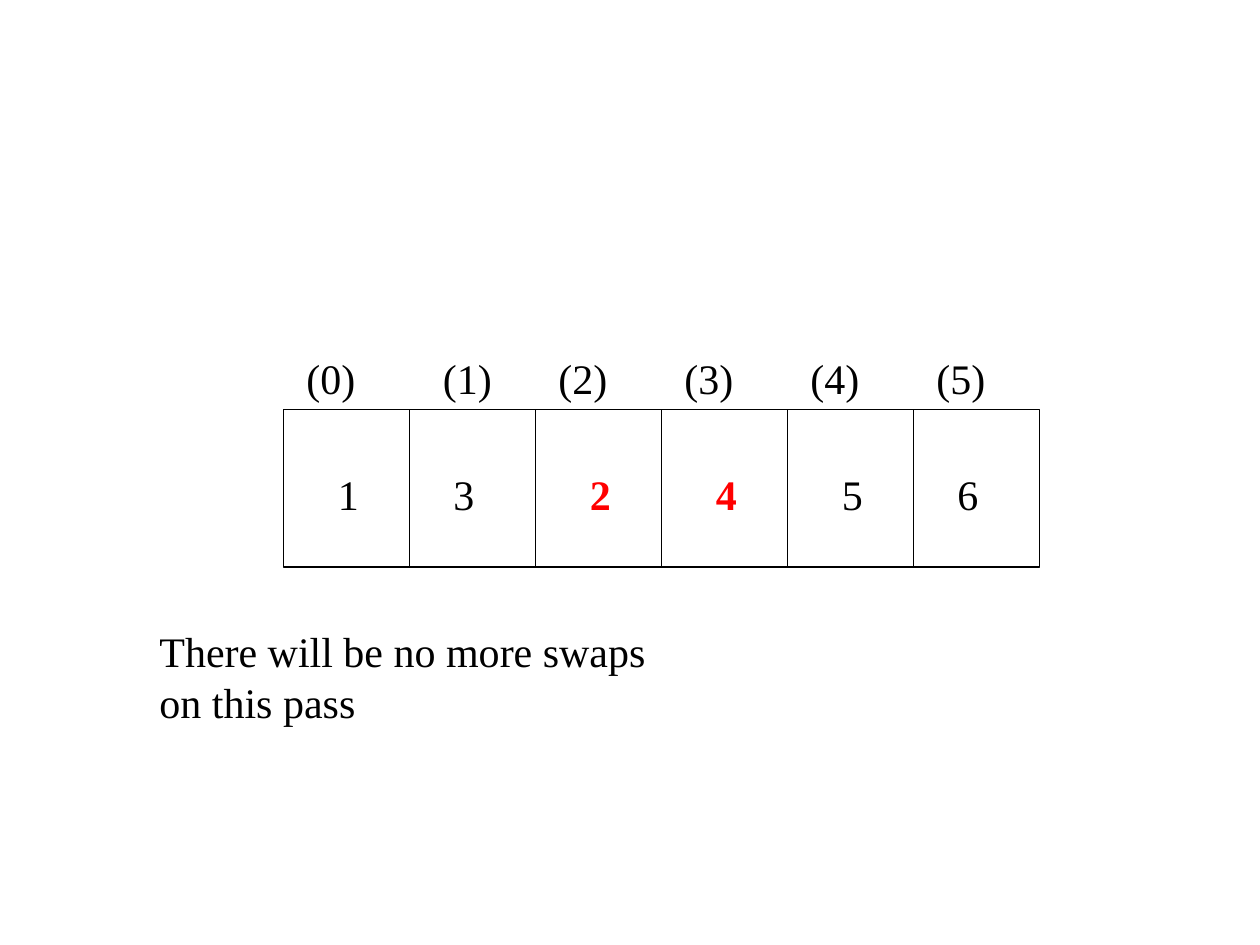
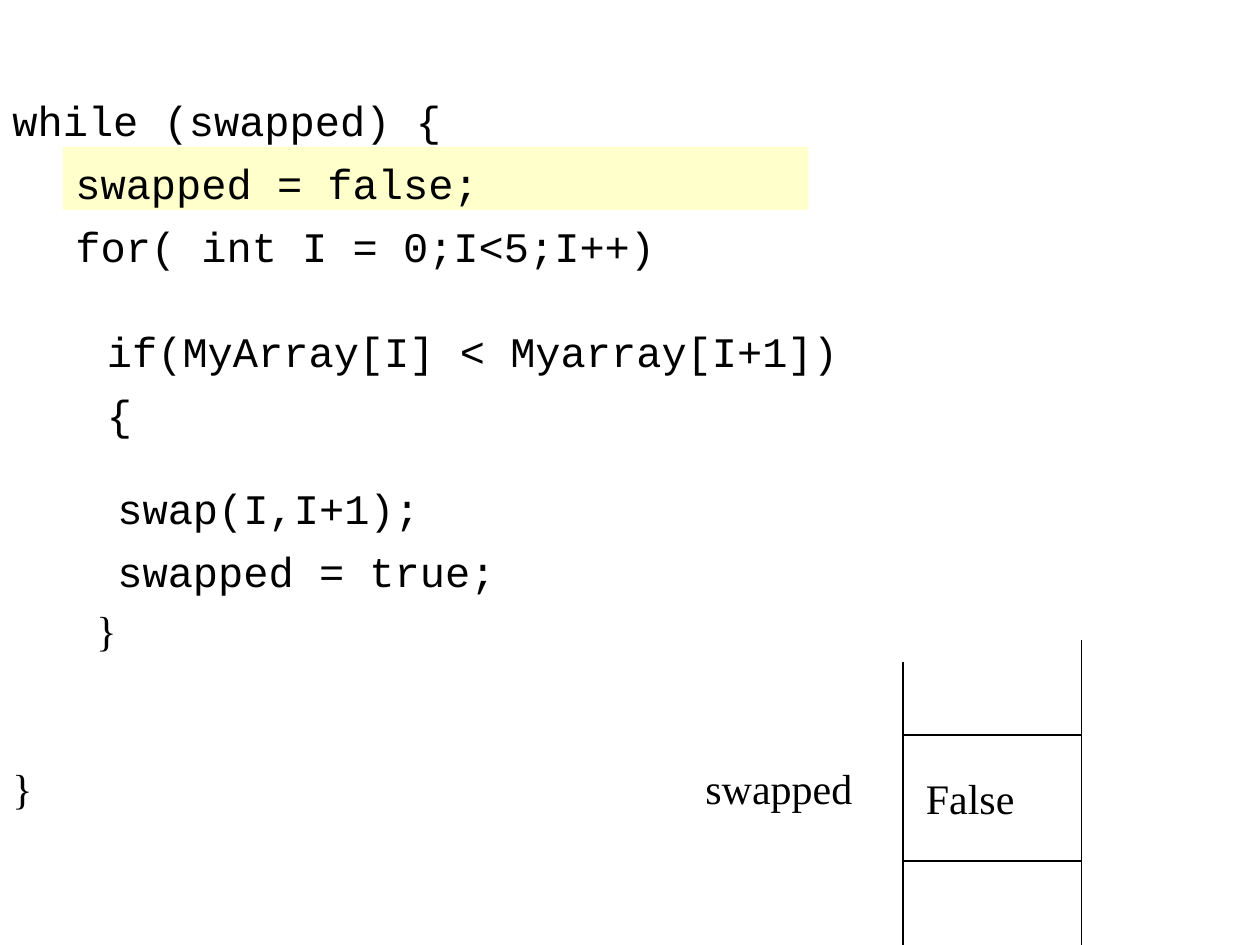
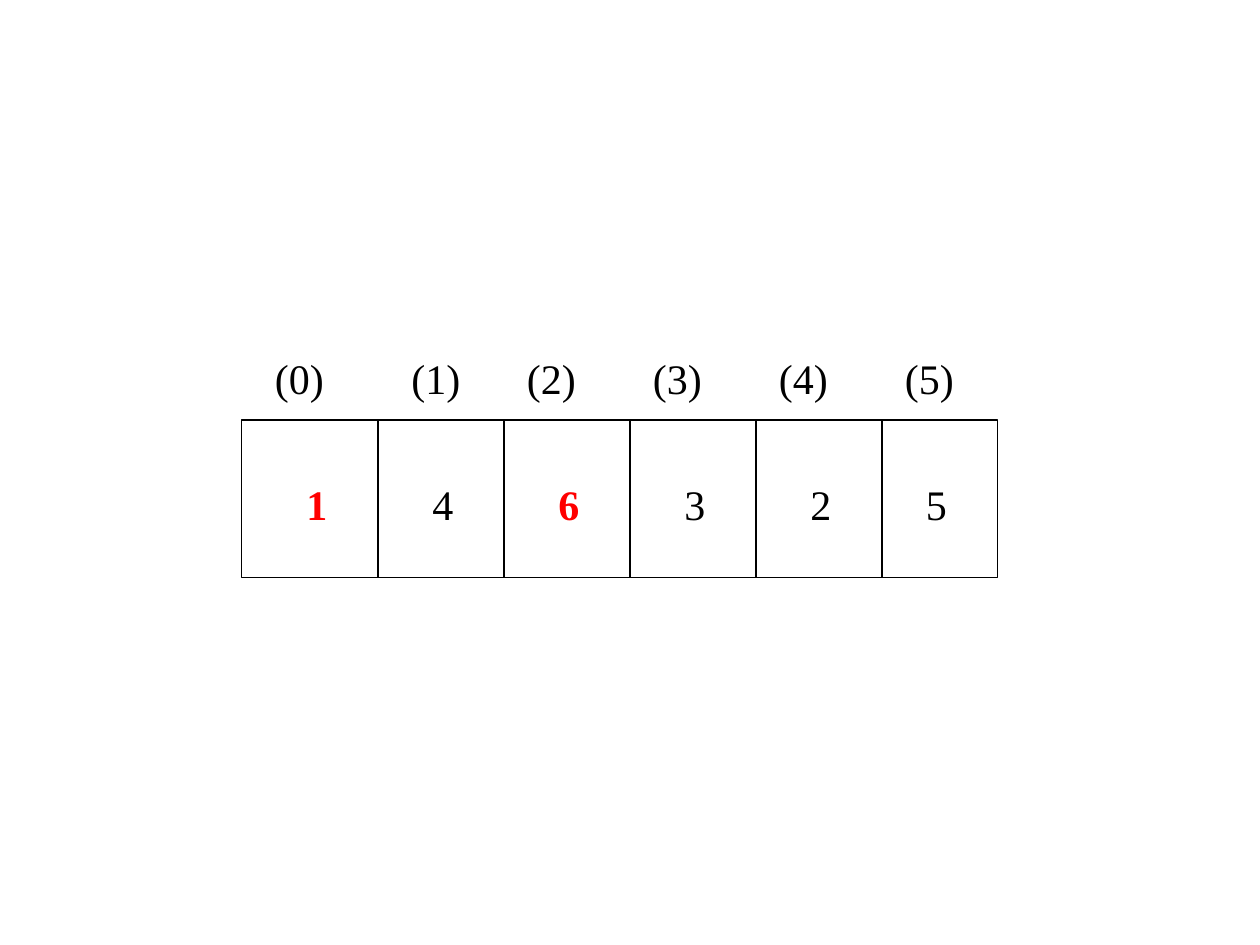
from lxml import etree
from pptx import Presentation
from pptx import util as u
from pptx.dml.color import RGBColor
from pptx.enum import shapes, text
from pptx.oxml.ns import qn

EMU_PER_PX = 7620  # 120 px to the inch
BLACK, RED, HIGHLIGHT = "000000", "FF0000", "FFFFCC"
SERIF, MONO = "Times New Roman", "Courier New"
LINE_PITCH = {SERIF: 28.8, MONO: 31}
TEXT_HEIGHT = 60
CELL_COUNT, CELL_WIDTH = 6, 120
ARRAY_WIDTH, ARRAY_HEIGHT = 720, 150
INDEX_TOP = 330
INDEX_WIDTHS = [100, 80, 80, 100, 110, 80]
VALUE_WIDTHS = [50, 60, 60, 50, 50, 70]

PASS_END = {
    "left": 270, "top": 390, "first_divider": 390,
    "values": ["1", "3", "2", "4", "5", "6"], "compared": [2, 3],
    "value_lefts": [310, 420, 550, 670, 790, 900],
    "index_lefts": [280, 410, 520, 640, 760, 880],
}
NEXT_ARRAY = {
    "left": 230, "top": 400, "first_divider": 360,
    "values": ["1", "4", "6", "3", "2", "5"], "compared": [0, 2],
    "value_lefts": [280, 400, 520, 640, 760, 870],
    "index_lefts": [250, 380, 490, 610, 730, 850],
}
PASS_NOTE = ("There will be no more swaps on this pass", 140, 590, 500, 108)

# text, left, top, width, font, fill
CODE_LINES = [
    ("while (swapped) {", 0, 80, 700, MONO, None),
    ("swapped = false;", 60, 140, 710, MONO, HIGHLIGHT),
    ("for( int I = 0;I<5;I++)", 60, 200, 840, MONO, None),
    ("if(MyArray[I] < Myarray[I+1])", 90, 300, 930, MONO, None),
    ("{", 90, 360, 790, MONO, None),
    ("swap(I,I+1);", 100, 450, 1030, MONO, None),
    ("swapped = true;", 100, 510, 410, MONO, None),
    ("}", 80, 570, 130, SERIF, None),
    ("}", 0, 720, 160, SERIF, None),
]
MEMORY_LABELS = [("swapped", 660, 720, 190), ("False", 870, 730, 150)]
MEMORY_LEFT, MEMORY_RIGHT, MEMORY_BOTTOM = 860, 1030, 900
MEMORY_LINES = [
    (MEMORY_LEFT, 630, MEMORY_LEFT, MEMORY_BOTTOM),
    (MEMORY_RIGHT, 610, MEMORY_RIGHT, MEMORY_BOTTOM),
    (MEMORY_LEFT, 700, MEMORY_RIGHT, 700),
    (MEMORY_LEFT, 820, MEMORY_RIGHT, 820),
]


def px(*lengths):
    return [u.Emu(length * EMU_PER_PX) for length in lengths]


def color(value):
    return RGBColor.from_string(value)


def style_line(line):
    line.color.rgb = color(BLACK)
    line.width = u.Pt(0.75)


def add_rectangle(slide, left, top, width, height, fill=None):
    """Add a rectangle that is either filled or outlined."""
    shape = slide.shapes.add_shape(
        shapes.MSO_SHAPE.RECTANGLE, *px(left, top, width, height))
    shape.shadow.inherit = False
    if fill:
        shape.fill.solid()
        shape.fill.fore_color.rgb = color(fill)
        shape.line.fill.background()
    else:
        shape.fill.background()
        style_line(shape.line)
    return shape


def add_line(slide, *ends):
    connector = slide.shapes.add_connector(
        shapes.MSO_CONNECTOR.STRAIGHT, *px(*ends))
    style_line(connector.line)
    etree.SubElement(connector._element.spPr, qn("a:effectLst"))


def add_text(slide, words, left, top, width, height=TEXT_HEIGHT,
             font=SERIF, fill=None, emphasized=False):
    if fill:
        shape = add_rectangle(slide, left, top, width, height, fill)
    else:
        shape = slide.shapes.add_textbox(*px(left, top, width, height))
    frame = shape.text_frame
    frame.text = words
    frame.word_wrap = True
    frame.vertical_anchor = text.MSO_ANCHOR.TOP
    paragraph = frame.paragraphs[0]
    paragraph.alignment = text.PP_ALIGN.LEFT
    paragraph.line_spacing = u.Pt(LINE_PITCH[font])
    run_font = paragraph.runs[0].font
    run_font.name = font
    run_font.size = u.Pt(24)
    run_font.bold = emphasized
    run_font.color.rgb = color(RED if emphasized else BLACK)


def draw_array(slide, array):
    """Draw the cells, their values and the indexes above them."""
    top = array["top"]
    add_rectangle(slide, array["left"], top, ARRAY_WIDTH, ARRAY_HEIGHT)
    for divider in range(CELL_COUNT - 1):
        x = array["first_divider"] + divider * CELL_WIDTH
        add_line(slide, x, top, x, top + ARRAY_HEIGHT)
    for index, value in enumerate(array["values"]):
        add_text(slide, value, array["value_lefts"][index], top + 50,
                 VALUE_WIDTHS[index], emphasized=index in array["compared"])
        add_text(slide, f"({index})", array["index_lefts"][index], INDEX_TOP,
                 INDEX_WIDTHS[index])


def draw_code(slide):
    for words, left, top, width, font, fill in CODE_LINES:
        add_text(slide, words, left, top, width, font=font, fill=fill)
    for ends in MEMORY_LINES:
        add_line(slide, *ends)
    for label in MEMORY_LABELS:
        add_text(slide, *label)


def main():
    presentation = Presentation()
    presentation.slide_width, presentation.slide_height = px(1200, 900)
    blank = presentation.slide_layouts[6]
    pass_slide, code_slide, next_slide = (
        presentation.slides.add_slide(blank) for _ in range(3))
    draw_array(pass_slide, PASS_END)
    add_text(pass_slide, *PASS_NOTE)
    draw_code(code_slide)
    draw_array(next_slide, NEXT_ARRAY)
    presentation.save("out.pptx")


if __name__ == "__main__":
    main()
